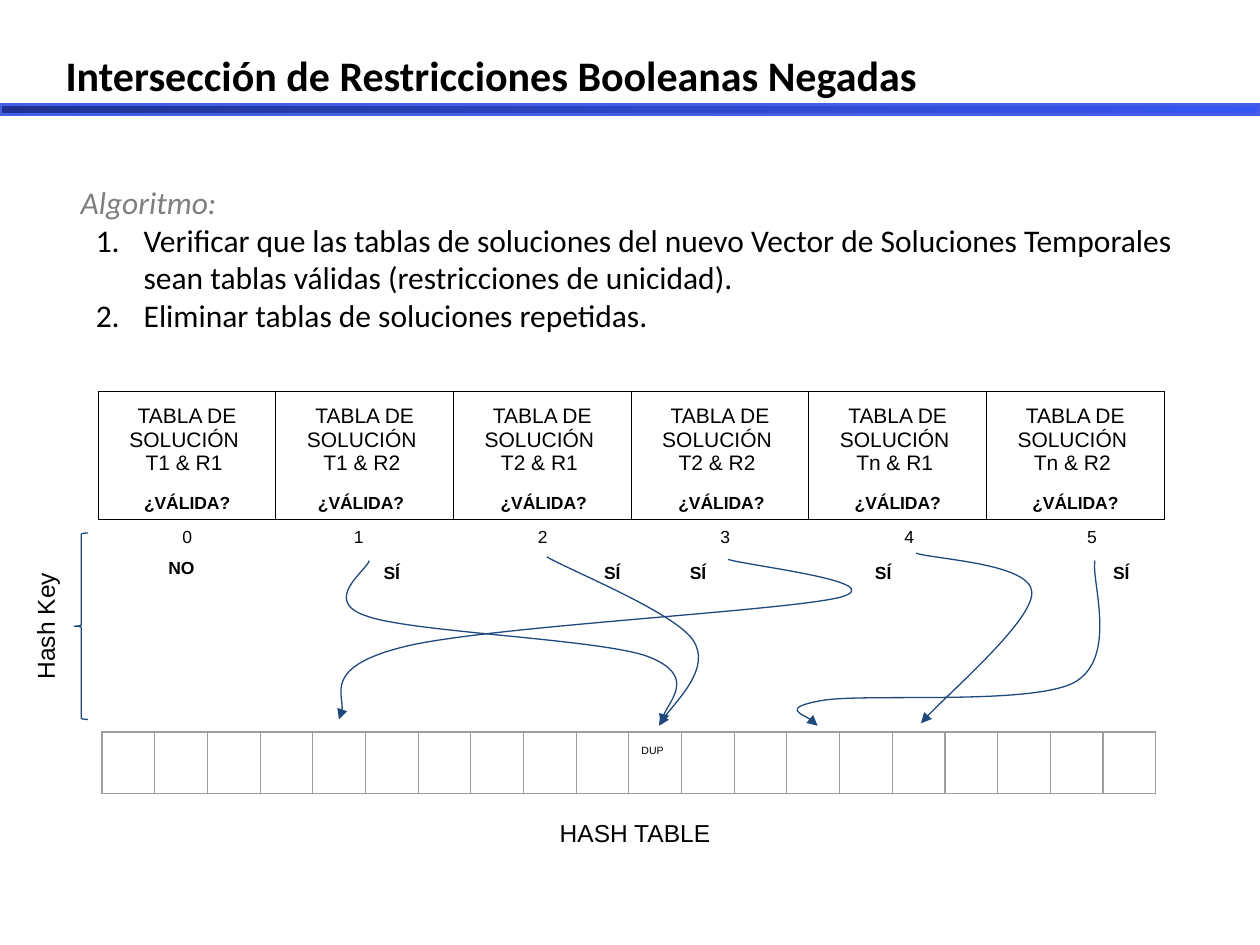
from copy import deepcopy

from lxml import etree
from pptx import Presentation
from pptx.dml.color import RGBColor
from pptx.enum.shapes import MSO_SHAPE
from pptx.enum.text import MSO_ANCHOR, MSO_AUTO_SIZE, PP_ALIGN
from pptx.oxml.ns import qn
from pptx.util import Inches, Pt

LEFT, CENTER, JUSTIFY = PP_ALIGN.LEFT, PP_ALIGN.CENTER, PP_ALIGN.JUSTIFY
TOP = MSO_ANCHOR.TOP
NO_AUTOFIT = MSO_AUTO_SIZE.NONE
RECTANGLE, LEFT_BRACE = MSO_SHAPE.RECTANGLE, MSO_SHAPE.LEFT_BRACE

COLORS = {
    "text": "000000", "muted": "7F7F7F", "curve": "1F497D", "grid": "9E9E9E",
    "bar_start": "1F3291", "bar_middle": "2D48CA", "bar_end": "3756F2",
    "bar_line": "445FE6",
}

SOLUTIONS = ["T1 & R1 ", "T1 & R2 ", "T2 & R1 ", "T2 & R2 ", "Tn & R1 ", "Tn & R2 "]
KEY_LEFTS = [1.35, 2.71, 4.17, 5.62, 7.08, 8.53]
QUESTION_LEFTS = [0.78, 2.16, 3.61, 5.02, 6.42, 7.83]
YES_LEFTS = [2.91, 4.66, 5.34, 6.81, 8.7]
HASH_SLOTS = 20
HASH_WIDTH = 8.37
DUPLICATE_SLOT = 10

# Each arrow: its bounds (left, top, right, bottom), then its nodes:
# a start point, and two control points and an end point per curve
ARROWS = [
    ((2.75, 4.45, 5.34, 5.75),
     [(2.93, 4.45), (2.92, 4.52), (2.54, 4.77), (2.91, 4.89), (3.27, 5.02),
      (4.75, 5.07), (5.14, 5.21), (5.53, 5.36), (5.23, 5.66), (5.25, 5.75)]),
    ((2.69, 4.44, 6.76, 5.71),
     [(5.78, 4.44), (5.93, 4.49), (7.09, 4.62), (6.67, 4.74), (6.24, 4.85),
      (3.88, 4.97), (3.22, 5.13), (2.56, 5.29), (2.78, 5.61), (2.69, 5.71)]),
    ((7.27, 4.39, 8.2, 5.74),
     [(7.27, 4.39), (7.42, 4.44), (8.18, 4.47), (8.19, 4.7), (8.2, 4.92),
      (7.45, 5.57), (7.31, 5.74)]),
    ((6.37, 4.45, 8.73, 5.76),
     [(8.69, 4.45), (8.66, 4.61), (8.88, 5.23), (8.52, 5.42), (8.16, 5.6),
      (6.86, 5.5), (6.52, 5.56), (6.19, 5.62), (6.5, 5.73), (6.49, 5.76)]),
    ((4.34, 4.42, 5.54, 5.76),
     [(4.34, 4.42), (4.53, 4.53), (5.35, 4.86), (5.5, 5.08), (5.65, 5.3),
      (5.28, 5.65), (5.23, 5.76)]),
]


def rgb(name):
    return RGBColor.from_string(COLORS[name])


def place(shape, left, top, width, height):
    shape.left, shape.top = Inches(left), Inches(top)
    shape.width, shape.height = Inches(width), Inches(height)


def add_span(para, text, size, font="Arial", color="text", bold=False, italic=False):
    span = para.add_run()
    span.text = text
    span.font.name, span.font.size = font, Pt(size)
    span.font.bold, span.font.italic = bold, italic
    span.font.color.rgb = rgb(color)


def set_margins(frame, margin=0.1):
    frame.margin_left = frame.margin_right = Inches(margin)
    frame.margin_top = frame.margin_bottom = Inches(margin)


def add_label(page, text, left, top, width, height, size=10, bold=False, align=CENTER):
    box = page.shapes.add_textbox(
        Inches(left), Inches(top), Inches(width), Inches(height))
    box.text_frame.word_wrap = True
    set_margins(box.text_frame)
    para = box.text_frame.paragraphs[0]
    para.alignment = align
    add_span(para, text, size, bold=bold)
    return box


def prepare_placeholder(holder, *bounds):
    place(holder, *bounds)
    frame = holder.text_frame
    frame.auto_size, frame.word_wrap, frame.vertical_anchor = NO_AUTOFIT, True, TOP
    return frame


def add_title(page, text):
    frame = prepare_placeholder(page.shapes.title, 0.42, 0.34, 8.92, 0.5)
    para = frame.paragraphs[0]
    para.alignment = JUSTIFY
    add_span(para, text, 24, "Calibri", bold=True)


def set_list_style(para, numbered):
    para.alignment, para.space_before = LEFT, Pt(0)
    settings = para._p.get_or_add_pPr()
    settings.set("marL", str(Inches(0.5) if numbered else 0))
    settings.set("indent", str(Inches(-0.38) if numbered else 0))
    if numbered:
        etree.SubElement(settings, qn("a:buFont"), typeface="+mj-lt")
        etree.SubElement(settings, qn("a:buAutoNum"), type="arabicPeriod")
    else:
        etree.SubElement(settings, qn("a:buNone"))


def add_steps(page, heading, steps):
    frame = prepare_placeholder(page.placeholders[1], 0.54, 1.4, 9, 1.61)
    para = frame.paragraphs[0]
    set_list_style(para, numbered=False)
    add_span(para, heading, 18, "Calibri", "muted", italic=True)
    for step in steps:
        para = frame.add_paragraph()
        set_list_style(para, numbered=True)
        add_span(para, step, 18, "Calibri")


def add_bar(page):
    bar = page.shapes.add_shape(
        RECTANGLE, Inches(0), Inches(0.83), Inches(10), Inches(0.08))
    bar.shadow.inherit = False
    bar.line.color.rgb, bar.line.width = rgb("bar_line"), Pt(2)
    bar.fill.gradient()
    bar.fill.gradient_angle = 0
    stop_list = bar._element.spPr.find(".//" + qn("a:gsLst"))
    stop_list.append(deepcopy(stop_list[0]))
    stops = [(0, "bar_start"), (0.54, "bar_middle"), (1, "bar_end")]
    for stop, (position, color) in zip(bar.fill.gradient_stops, stops):
        stop.position, stop.color.rgb = position, rgb(color)


def set_borders(cell, color):
    settings = cell._tc.get_or_add_tcPr()
    for side in ("lnL", "lnR", "lnT", "lnB"):
        line = etree.SubElement(settings, qn("a:" + side), w=str(Pt(0.75)))
        fill = etree.SubElement(line, qn("a:solidFill"))
        etree.SubElement(fill, qn("a:srgbClr"), val=COLORS[color])


def add_row_table(page, columns, left, top, width, height, border):
    table = page.shapes.add_table(
        1, columns, Inches(left), Inches(top), Inches(width), Inches(height)).table
    table.first_row = table.horz_banding = False
    for column, cell in zip(table.columns, table.rows[0].cells):
        column.width = Inches(width / columns)
        set_borders(cell, border)
        cell.fill.background()
    return table


def add_solution_table(page):
    table = add_row_table(page, len(SOLUTIONS), 0.78, 3.11, 8.46, 1.01, "text")
    for cell, solution in zip(table.rows[0].cells, SOLUTIONS):
        set_margins(cell)
        frame = cell.text_frame
        for para, text in ((frame.paragraphs[0], "TABLA DE SOLUCIÓN "),
                           (frame.add_paragraph(), solution)):
            para.alignment = CENTER
            add_span(para, text, 12)


def add_hash_table(page):
    table = add_row_table(page, HASH_SLOTS, 0.81, 5.81, HASH_WIDTH, 0.49, "grid")
    cell = table.cell(0, DUPLICATE_SLOT)
    set_margins(cell)
    add_span(cell.text_frame.paragraphs[0], "DUP", 6)


def style_outline(shape):
    shape.shadow.inherit = False
    shape.fill.background()
    shape.line.color.rgb, shape.line.width = rgb("curve"), Pt(0.75)


def add_curved_arrow(page, bounds, nodes):
    left, top, right, bottom = [Inches(value) for value in bounds]
    builder = page.shapes.build_freeform(left, top)
    builder.add_line_segments([(right, bottom)], close=False)
    arrow = builder.convert_to_shape()
    style_outline(arrow)
    etree.SubElement(arrow.line._get_or_add_ln(), qn("a:tailEnd"), type="triangle")

    # Bend the outline: one move, then one cubic curve per three nodes
    outline = arrow._element.spPr.find(".//" + qn("a:path"))
    for command in list(outline):
        outline.remove(command)
    for index, (x, y) in enumerate(nodes):
        if index == 0:
            command = etree.SubElement(outline, qn("a:moveTo"))
        elif index % 3 == 1:
            command = etree.SubElement(outline, qn("a:cubicBezTo"))
        etree.SubElement(command, qn("a:pt"),
                         x=str(Inches(x) - left), y=str(Inches(y) - top))


def main():
    deck = Presentation()
    deck.slide_width, deck.slide_height = Inches(10), Inches(7.5)
    page = deck.slides.add_slide(deck.slide_layouts[1])

    # Heading and algorithm
    add_title(page, "Intersección de Restricciones Booleanas Negadas")
    add_bar(page)
    add_steps(page, "Algoritmo:", [
        "Verificar que las tablas de soluciones del nuevo Vector de Soluciones "
        "Temporales sean tablas válidas (restricciones de unicidad).",
        "Eliminar tablas de soluciones repetidas.",
    ])

    # Solution tables with their keys and checks
    add_solution_table(page)
    for key, (key_left, question_left) in enumerate(zip(KEY_LEFTS, QUESTION_LEFTS)):
        add_label(page, str(key), key_left, 4.09, 0.3, 0.31, align=LEFT)
        add_label(page, "¿VÁLIDA?", question_left, 3.82, 1.41, 0.31, bold=True)
    add_label(page, "NO", 1.16, 4.34, 0.56, 0.4, bold=True)
    for left in YES_LEFTS:
        add_label(page, "SÍ", left, 4.38, 0.4, 0.31, bold=True)

    # Hash table and the arrows into it
    add_hash_table(page)
    add_label(page, "HASH TABLE", 3.83, 6.39, 2.42, 0.4, size=14)
    for bounds, nodes in ARROWS:
        add_curved_arrow(page, bounds, nodes)

    # Hash key brace
    brace = page.shapes.add_shape(
        LEFT_BRACE, Inches(0.59), Inches(4.23), Inches(0.11), Inches(1.48))
    style_outline(brace)
    add_label(page, "Hash Key", -0.87, 4.77, 2.42, 0.4, size=14).rotation = 270

    deck.save("out.pptx")


if __name__ == "__main__":
    main()
